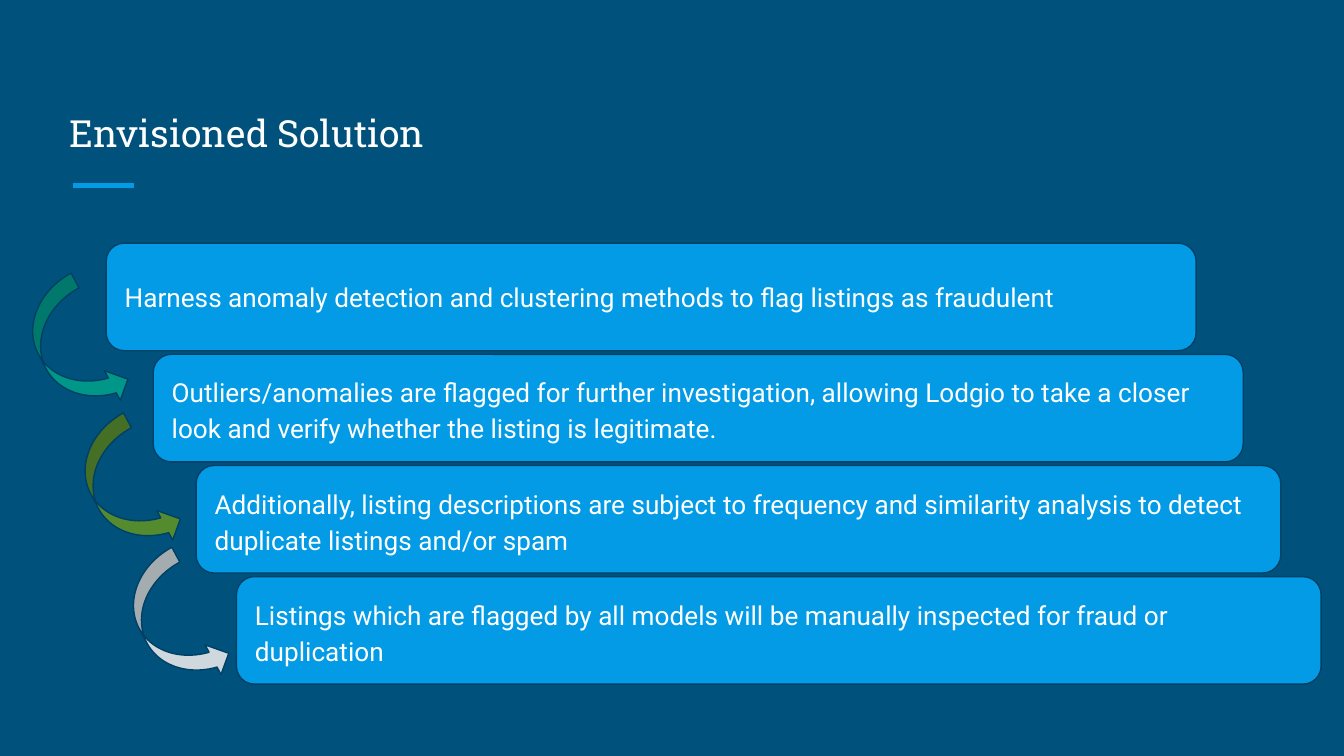
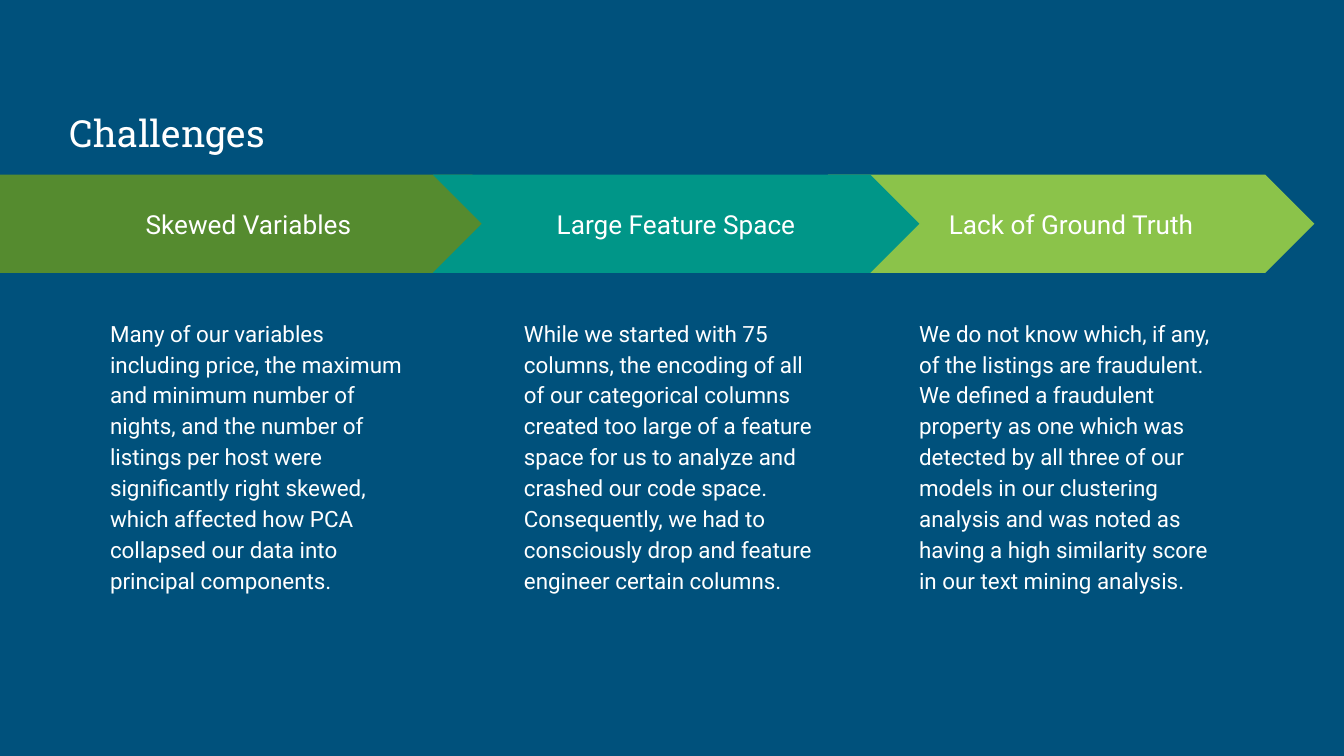
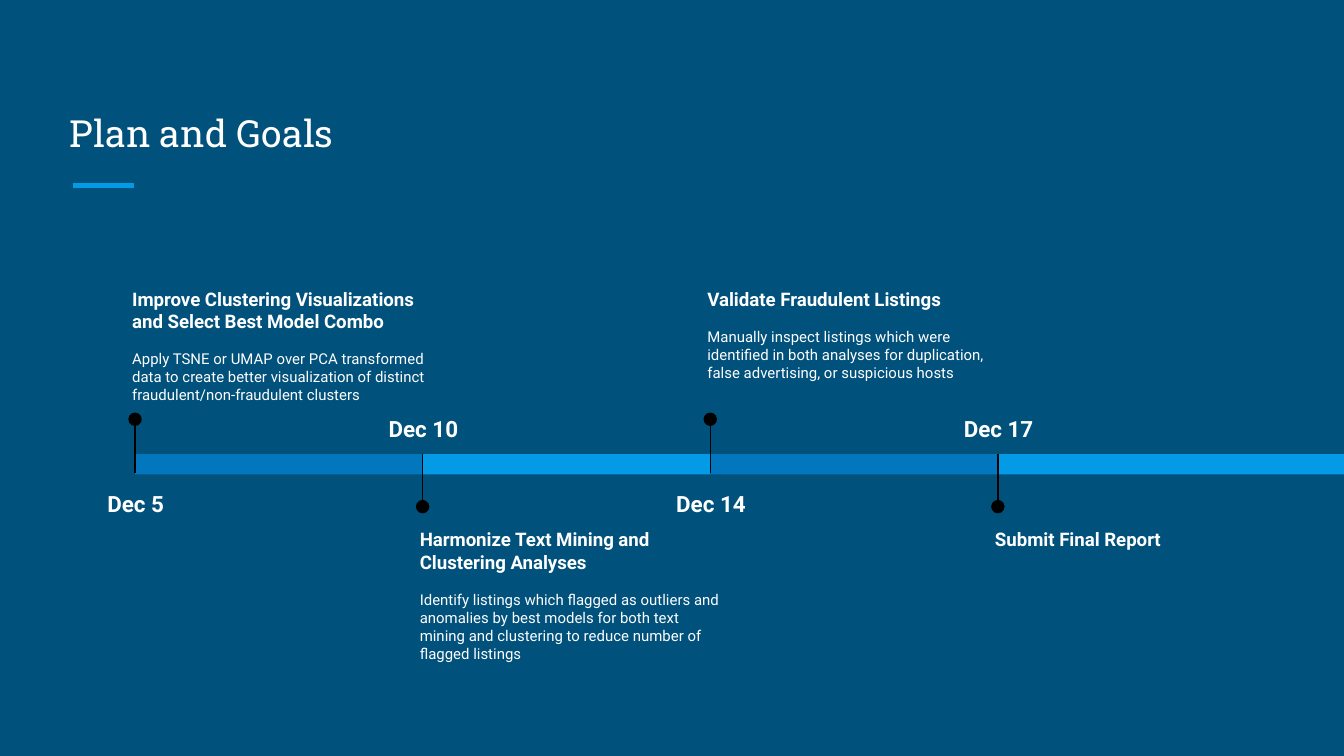
from dataclasses import dataclass

from lxml import etree
from pptx import Presentation
from pptx.dml.color import RGBColor
from pptx.enum.shapes import MSO_CONNECTOR, MSO_SHAPE
from pptx.enum.text import MSO_ANCHOR, MSO_AUTO_SIZE, PP_ALIGN
from pptx.oxml.ns import qn
from pptx.util import Inches, Pt

STRAIGHT = MSO_CONNECTOR.STRAIGHT
ROUND, CURVE = MSO_SHAPE.ROUNDED_RECTANGLE, MSO_SHAPE.CURVED_RIGHT_ARROW
PLATE, CHEVRON = MSO_SHAPE.PENTAGON, MSO_SHAPE.CHEVRON
RECT, OVAL = MSO_SHAPE.RECTANGLE, MSO_SHAPE.OVAL
TOP, MIDDLE, BOTTOM = MSO_ANCHOR.TOP, MSO_ANCHOR.MIDDLE, MSO_ANCHOR.BOTTOM
LEFT, CENTER = PP_ALIGN.LEFT, PP_ALIGN.CENTER
FIXED = MSO_AUTO_SIZE.NONE
TITLE_ONLY = 5


@dataclass(frozen=True)
class Theme:
    """Colours, fonts, type sizes and spacing of the deck."""
    back: str = "00517C"
    text: str = "FFFFFF"
    sky: str = "039BE5"
    sea: str = "0277BD"
    edge: str = "004065"
    teal: str = "009688"
    moss: str = "558B2F"
    lime: str = "8BC34A"
    mist: str = "CFD8DC"
    ink: str = "000000"
    head: str = "Roboto Slab"
    body: str = "Roboto"
    title: float = 20
    label: float = 14
    copy: float = 12
    lead: float = 10
    note: float = 8
    loose: float = 1.15
    gap: float = 9.4
    thin: float = 0.75
    thick: float = 3


T = Theme()


@dataclass(frozen=True)
class Box:
    """A region in grid cells; the slide is 100 columns by 56.25 rows."""
    x: float
    y: float
    w: float
    h: float

    def sub(self, x, y, w, h):
        """Return a box set off from this one's top left corner."""
        return Box(self.x + x, self.y + y, w, h)

    def frame(self):
        """Return left, top, width and height as lengths."""
        return tuple(cell(n) for n in (self.x, self.y, self.w, self.h))


PAGE = Box(0, 0, 100, 56.25)


def cell(count):
    """Turn grid cells into a length."""
    return Inches(count / 10)


def tint(code):
    """Turn a hex code into a colour."""
    return RGBColor.from_string(code)


def write(shape, rows, align=LEFT, anchor=TOP, lead=None, face=T.body):
    """Fill a shape with rows of text, size and weight."""
    frame = shape.text_frame
    frame.word_wrap = True
    frame.auto_size = FIXED
    frame.vertical_anchor = anchor
    frame.margin_left = frame.margin_right = cell(1)
    frame.margin_top = frame.margin_bottom = cell(1)
    frame.text = "\n".join(text for text, size, bold in rows)
    for spot, (para, (text, size, bold)) in enumerate(zip(frame.paragraphs, rows)):
        para.alignment = align
        para.space_before = Pt(T.gap if spot else 0)
        if lead:
            para.line_spacing = lead
        for run in para.runs:
            font = run.font
            font.name, font.size, font.bold = face, Pt(size), bold
            font.color.rgb = tint(T.text)


def draw(shapes, kind, box, fill, edge=None):
    """Add a flat filled shape, with a thin edge if one is named."""
    shape = shapes.add_shape(kind, *box.frame())
    shape.shadow.inherit = False
    shape.fill.solid()
    shape.fill.fore_color.rgb = tint(fill)
    if edge:
        shape.line.color.rgb = tint(edge)
        shape.line.width = Pt(T.thin)
    else:
        shape.line.fill.background()
    return shape


def rule(shapes, start, end, color, width):
    """Add a plain line between two grid points."""
    line = shapes.add_connector(STRAIGHT, *(cell(n) for n in start + end))
    line.line.color.rgb = tint(color)
    line.line.width = Pt(width)
    etree.SubElement(line._element.spPr, qn("a:effectLst"))
    return line


def note(shapes, box, rows, **look):
    """Add a text box."""
    write(shapes.add_textbox(*box.frame()), rows, **look)


def setup(deck):
    """Set the page size, the ground and the bare title layout."""
    deck.slide_width, deck.slide_height = cell(PAGE.w), cell(PAGE.h)
    ground = deck.slide_master.background.fill
    ground.solid()
    ground.fore_color.rgb = tint(T.back)
    layout = deck.slide_layouts[TITLE_ONLY]
    for item in list(layout.placeholders)[1:]:
        layout.shapes.element.remove(item.element)
    return layout


def start(deck, layout, title):
    """Add a slide with its title placed on the grid."""
    slide = deck.slides.add_slide(layout)
    head = slide.shapes.title
    head.left, head.top, head.width, head.height = PAGE.sub(4.2, 5, 91.5, 7.5).frame()
    write(head, [(title, T.title, False)], anchor=BOTTOM, face=T.head)
    return slide


def accent(slide, layout):
    """Draw the title rule and hand it to the shared layout."""
    line = rule(slide.shapes, (5.4, 13.8), (10, 13.8), T.sky, T.thick)
    layout.shapes.element.append(line._element)


def stairs(slide, box):
    """Draw stepped panels joined by curved arrows."""
    steps = (
        (0, 81.1, None, "Harness anomaly detection and clustering methods to flag listings as fraudulent"),
        (3.5, 81.1, T.loose, "Outliers/anomalies are flagged for further investigation, allowing Lodgio "
         "to take a closer look and verify whether the listing is legitimate."),
        (6.7, 80.7, T.loose, "Additionally, listing descriptions are subject to frequency and similarity "
         "analysis to detect duplicate listings and/or spam"),
        (9.7, 80.7, T.loose, "Listings which are flagged by all models will be manually inspected for "
         "fraud or duplication"),
    )
    for row, (x, wide, lead, text) in enumerate(steps):
        panel = draw(slide.shapes, ROUND, box.sub(x, row * 8.27, wide, 8), T.sky, T.edge)
        write(panel, [(text, T.label, False)], anchor=MIDDLE, lead=lead)
    for x, y, fill in ((-4.9, 2.8, T.teal), (-1, 13.2, T.moss), (2.6, 23.2, T.mist)):
        arrow = draw(slide.shapes, CURVE, box.sub(x, y, 5, 10.2), fill, T.edge)
        arrow.rotation = 331.8


def stage(slide, box, kind, fill, inset, name, text):
    """Draw one banner arrow with its text below."""
    shapes = slide.shapes.add_group_shape().shapes
    banner = draw(shapes, kind, box.sub(0, 0, box.w, 7.3), fill)
    write(banner, [(name, T.label, False)], align=CENTER, anchor=MIDDLE)
    note(shapes, box.sub(inset, 9.5, 24.5, 28.6), [(text, T.copy, False)], lead=T.loose)


def hurdles(slide, box):
    """Draw the band of stages, the middle one in front."""
    stage(slide, box.sub(61.6, 0, 36.2, box.h), CHEVRON, T.lime, 5.8, "Lack of Ground Truth",
          "We do not know which, if any, of the listings are fraudulent. We defined a fraudulent "
          "property as one which was detected by all three of our models in our clustering "
          "analysis and was noted as having a high similarity score in our text mining analysis.")
    stage(slide, box.sub(0, 0, 38.8, box.h), PLATE, T.moss, 7.2, "Skewed Variables",
          "Many of our variables including price, the maximum and minimum number of nights, and "
          "the number of listings per host were significantly right skewed, which affected how "
          "PCA collapsed our data into principal components.")
    stage(slide, box.sub(32.2, 0, 36.2, box.h), CHEVRON, T.teal, 5.8, "Large Feature Space",
          "While we started with 75 columns, the encoding of all of our categorical columns "
          "created too large of a feature space for us to analyze and crashed our code space. "
          "Consequently, we had to consciously drop and feature engineer certain columns.")


def event(slide, box, above, date, rows):
    """Draw one bar of the time line with pin, date and text."""
    shapes = slide.shapes.add_group_shape().shapes
    tip, foot, day, text = (-2.6, 1.4, 1.4, -13.4) if above else (3.9, 0, -4.2, 4.5)
    draw(shapes, RECT, box, T.sea if above else T.sky)
    rule(shapes, (box.x, box.y + tip), (box.x, box.y + foot), T.ink, T.thin)
    draw(shapes, OVAL, box.sub(-0.5, tip - 0.5, 1, 1), T.ink)
    note(shapes, box.sub(-4.7, day, 9.5, 4.1), [(date, T.copy, True)],
         align=CENTER, lead=T.loose)
    note(shapes, box.sub(-1.2, text, 24.6, 10.3), rows)


def timeline(slide, box):
    """Lay the events end to end, by turns above and below."""
    events = (
        ("Dec 5", "Improve Clustering Visualizations and Select Best Model Combo",
         "Apply TSNE or UMAP over PCA transformed data to create better visualization of "
         "distinct fraudulent/non-fraudulent clusters"),
        ("Dec 10", "Harmonize Text Mining and Clustering Analyses",
         "Identify listings which flagged as outliers and anomalies by best models for both "
         "text mining and clustering to reduce number of flagged listings"),
        ("Dec 14", "Validate Fraudulent Listings",
         "Manually inspect listings which were identified in both analyses for duplication, "
         "false advertising, or suspicious hosts"),
        ("Dec 17", "Submit Final Report", None),
    )
    pitch = 21.4
    for spot, (date, goal, text) in enumerate(events):
        rows = [(goal, T.lead, True)]
        if text:
            rows.append((text, T.note, False))
        last = spot == len(events) - 1
        wide = box.w - spot * pitch if last else pitch
        event(slide, box.sub(spot * pitch, 0, wide, box.h), spot % 2 == 0, date, rows)


def main():
    """Build and save the deck."""
    deck = Presentation()
    layout = setup(deck)
    plan = start(deck, layout, "Envisioned Solution")
    accent(plan, layout)
    stairs(plan, PAGE.sub(7.9, 18.1, 90.4, 32.8))
    hurdles(start(deck, layout, "Challenges"), PAGE.sub(0, 13, 97.8, 38.1))
    timeline(start(deck, layout, "Plan and Goals"), PAGE.sub(10.05, 33.8, 89.95, 1.5))
    deck.save("out.pptx")


if __name__ == "__main__":
    main()
